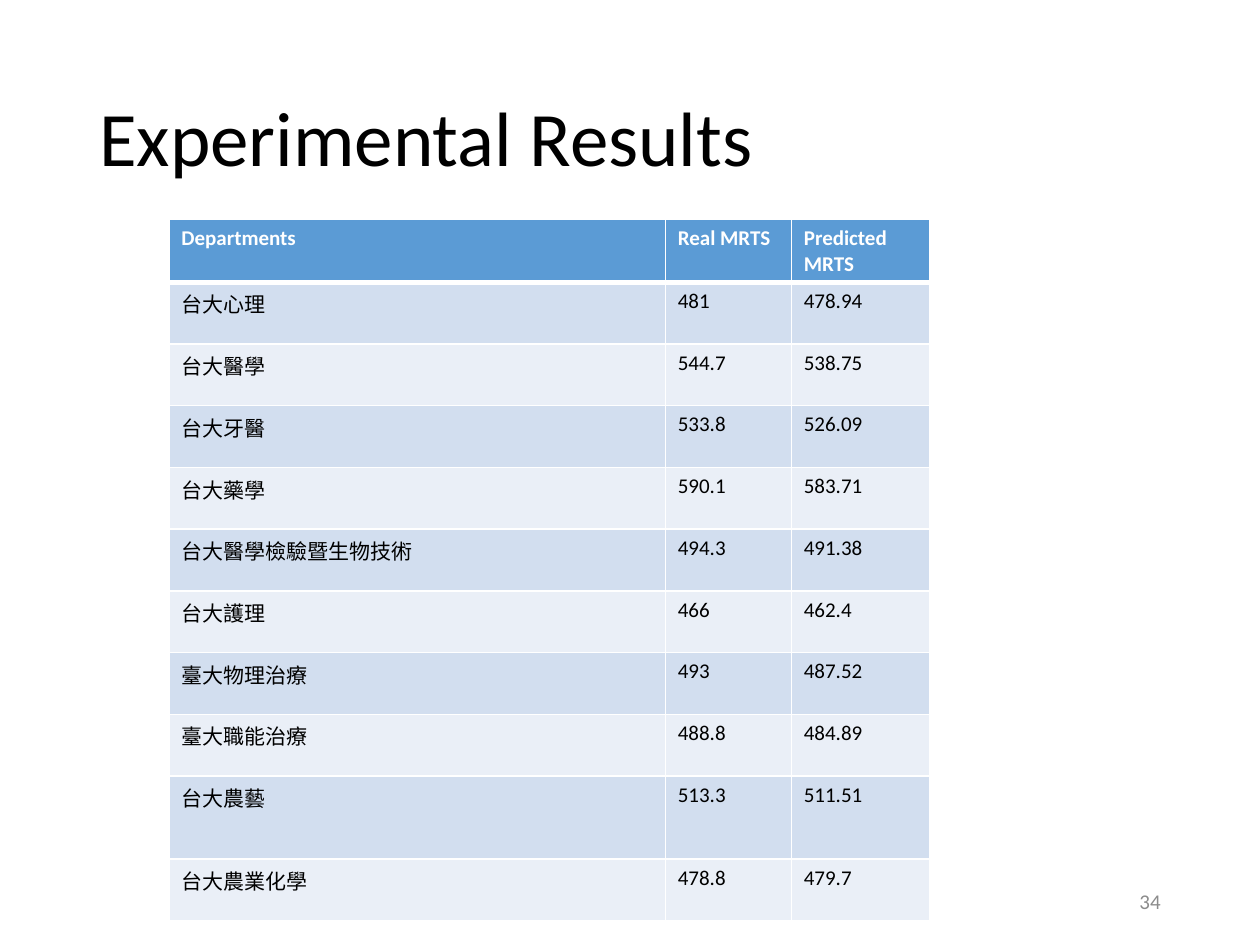
from lxml.etree import SubElement
from pptx import Presentation
from pptx.dml.color import RGBColor
from pptx.enum.text import MSO_ANCHOR, PP_ALIGN
from pptx.oxml.ns import qn
from pptx.util import Inches, Pt

COLORS = {
    "text": "000000",
    "number": "8C8C8C",
    "white": "FFFFFF",
    "header": "5B9BD5",
    "odd": "D2DEEF",
    "even": "EAEFF7",
}
FONT = "Calibri"
COLUMN_WIDTHS = [3.94, 1, 1.1]
ROW_HEIGHT = 0.49
TALL_ROWS = {9: 0.66}
RESULTS = [
    ("Departments", "Real MRTS", "Predicted MRTS"),
    ("台大心理", "481", "478.94"),
    ("台大醫學", "544.7", "538.75"),
    ("台大牙醫", "533.8", "526.09"),
    ("台大藥學", "590.1", "583.71"),
    ("台大醫學檢驗暨生物技術", "494.3", "491.38"),
    ("台大護理", "466", "462.4"),
    ("臺大物理治療", "493", "487.52"),
    ("臺大職能治療", "488.8", "484.89"),
    ("台大農藝", "513.3", "511.51"),
    ("台大農業化學", "478.8", "479.7"),
]


def style_paragraph(paragraph, size, color, bold=False):
    """Set the font of a whole paragraph."""
    font = paragraph.font
    font.name = FONT
    font.size = Pt(size)
    font.bold = bold
    font.color.rgb = RGBColor.from_string(COLORS[color])


def add_text(slide, text, box, size, color, alignment=PP_ALIGN.LEFT, line_spacing=1.0):
    """Add a vertically centred line of text."""
    shape = slide.shapes.add_textbox(*map(Inches, box))
    frame = shape.text_frame
    frame.word_wrap = True
    frame.vertical_anchor = MSO_ANCHOR.MIDDLE
    paragraph = frame.paragraphs[0]
    paragraph.text = text
    paragraph.alignment = alignment
    paragraph.line_spacing = line_spacing
    style_paragraph(paragraph, size, color)


def set_borders(cell, top, bottom):
    """Draw white borders, with the given top and bottom widths in points."""
    properties = cell._tc.get_or_add_tcPr()
    widths = {"a:lnL": 1, "a:lnR": 1, "a:lnT": top, "a:lnB": bottom}
    for position, (tag, width) in enumerate(widths.items()):
        line = SubElement(properties, qn(tag), w=str(Pt(width)))
        fill = SubElement(line, qn("a:solidFill"))
        SubElement(fill, qn("a:srgbClr"), val=COLORS["white"])
        properties.insert(position, line)


def fill_cell(cell, text, row):
    """Write and style one cell according to its row."""
    is_header = row == 0
    cell.text = text
    color = "white" if is_header else "text"
    style_paragraph(cell.text_frame.paragraphs[0], 12, color, is_header)
    band = "header" if is_header else "odd" if row % 2 else "even"
    cell.fill.solid()
    cell.fill.fore_color.rgb = RGBColor.from_string(COLORS[band])
    set_borders(cell, top=3 if row == 1 else 1, bottom=3 if is_header else 1)


def add_results_table(slide, left, top):
    """Add the table of real and predicted scores."""
    heights = [TALL_ROWS.get(row, ROW_HEIGHT) for row in range(len(RESULTS))]
    size = (sum(COLUMN_WIDTHS), sum(heights))
    shape = slide.shapes.add_table(
        len(RESULTS), len(COLUMN_WIDTHS), *map(Inches, (left, top, *size))
    )
    table = shape.table
    for column, width in zip(table.columns, COLUMN_WIDTHS):
        column.width = Inches(width)
    for row, (height, values) in enumerate(zip(heights, RESULTS)):
        table.rows[row].height = Inches(height)
        for column, text in enumerate(values):
            fill_cell(table.cell(row, column), text, row)


def main():
    """Build and save the slide."""
    presentation = Presentation()
    presentation.slide_width = Inches(10)
    presentation.slide_height = Inches(7.5)
    slide = presentation.slides.add_slide(presentation.slide_layouts[6])
    add_text(slide, "Experimental Results", (0.69, 0.4, 8.62, 1.45), 44, "text",
             line_spacing=0.9)
    add_text(slide, "34", (7.06, 6.95, 2.25, 0.4), 12, "number", PP_ALIGN.RIGHT)
    add_results_table(slide, 1.34, 1.74)
    presentation.save("out.pptx")


if __name__ == "__main__":
    main()
